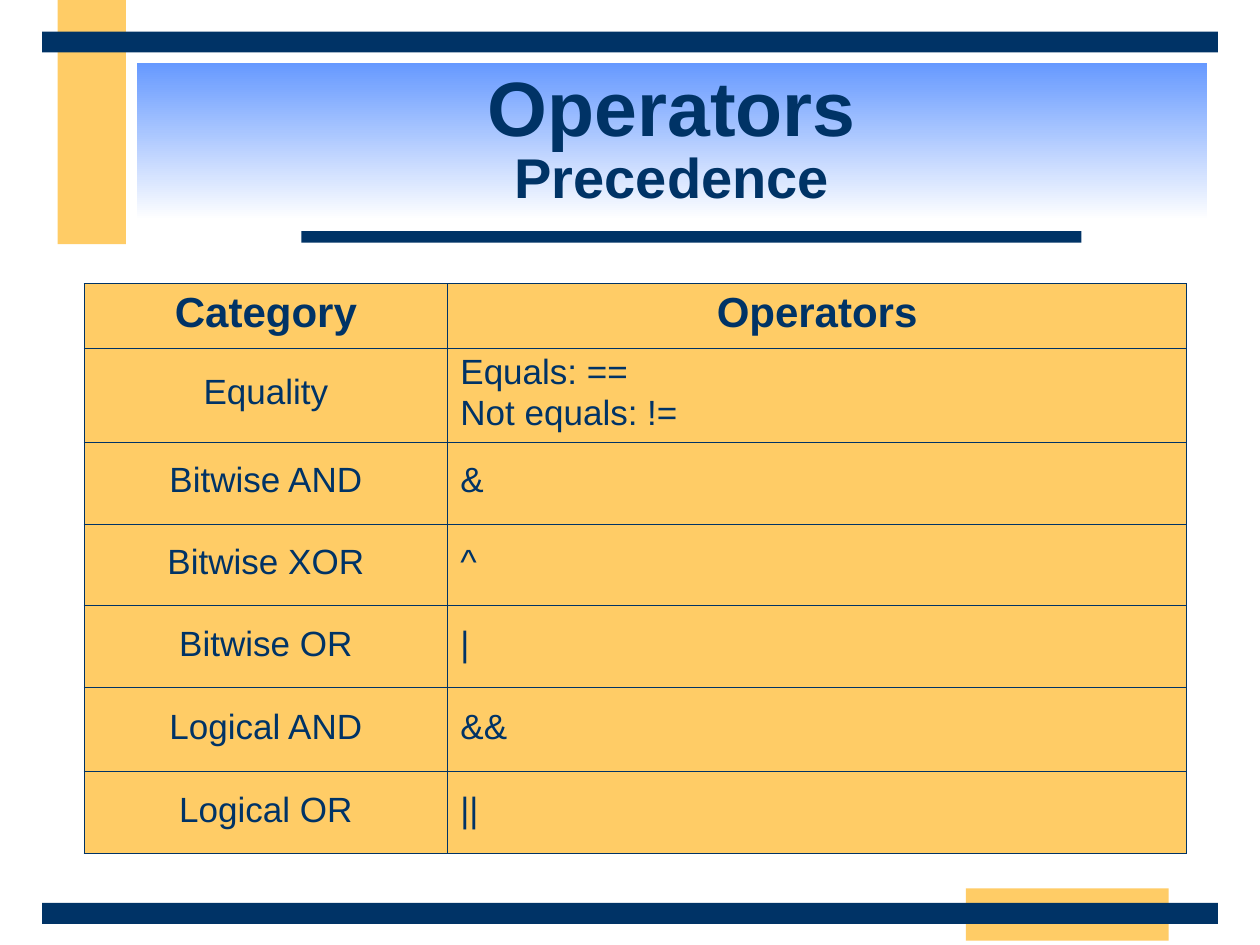
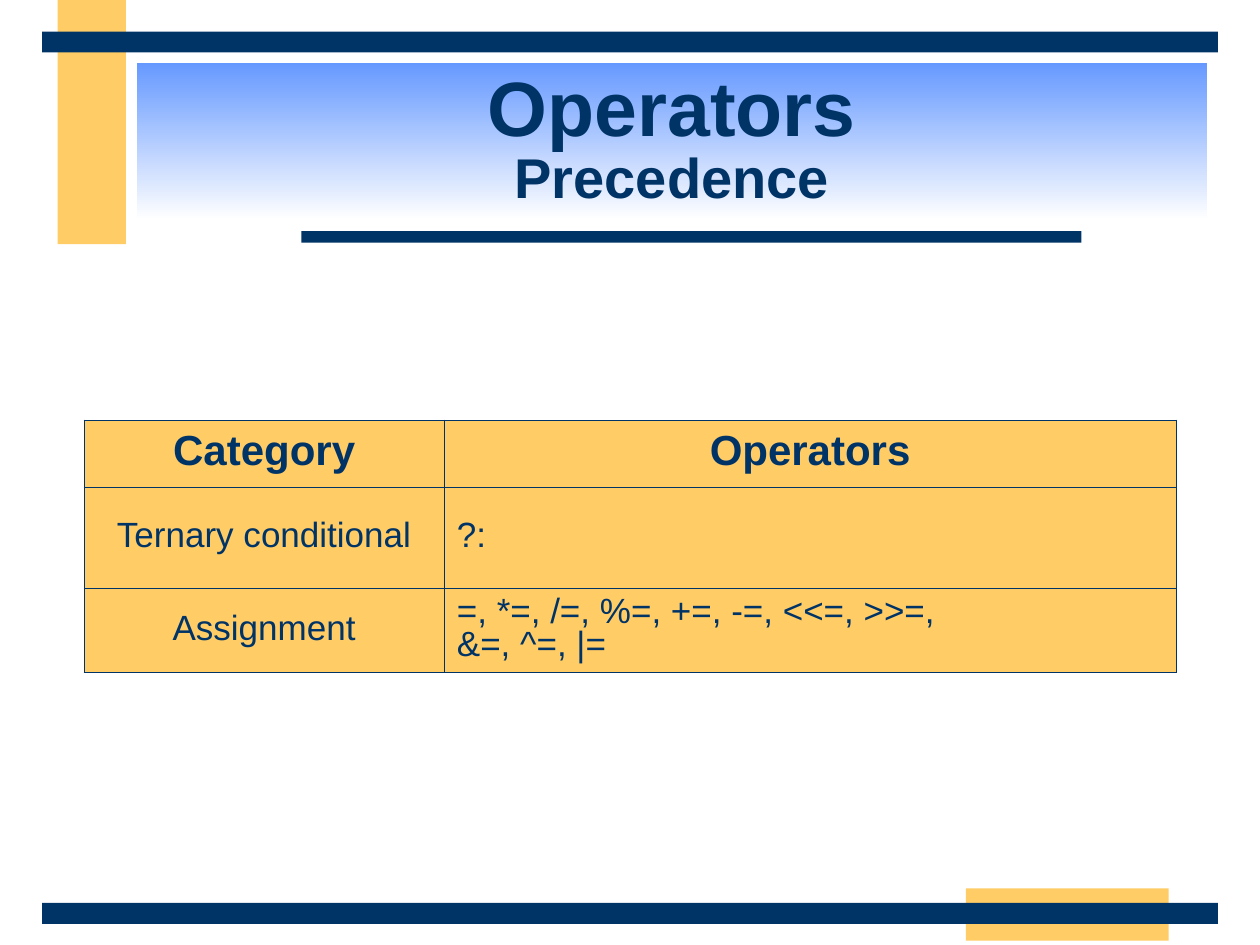
from lxml import etree
from pptx import Presentation
from pptx import util as u
from pptx.dml.color import RGBColor
from pptx.enum import shapes, text
from pptx.oxml import ns

TITLE = [("Operators", "title"), ("Precedence", "subtitle")]
HEADER = ("Category", "Operators")
TABLES = [
    {
        "at": (16, 54),
        "width": 210,
        "heights": [12.3, 17.9, 15.6, 15.6, 15.6, 16, 15.6],
        "rows": [
            ("Equality", "Equals: ==\nNot equals: !="),
            ("Bitwise AND", "&"),
            ("Bitwise XOR", "^"),
            ("Bitwise OR", "|"),
            ("Logical AND", "&&"),
            ("Logical OR", "||"),
        ],
    },
    {
        "at": (16, 80),
        "width": 208,
        "heights": [12.8, 19.2, 16.1],
        "rows": [
            ("Ternary conditional", "?:"),
            ("Assignment", "=, *=, /=, %=, +=, -=, <<=, >>=,\v&=, ^=, |="),
        ],
    },
]

COLS, ROWS = 240, 180
COLUMN_SHARES = (0.33, 0.67)
TITLE_BOX = (26, 12, 204, 30)
BANDS = [
    ("gold", (11, 0, 13, 46.5)),
    ("gold", (184, 169.2, 38.6, 10)),
    ("navy", (57.4, 44, 148.6, 2.2)),
    ("navy", (8, 172, 224, 4)),
    ("navy", (8, 6, 224, 4)),
]

THEME = {
    "navy": RGBColor.from_string("003366"),
    "gold": RGBColor.from_string("FFCC66"),
    "sky": RGBColor.from_string("6699FF"),
    "white": RGBColor.from_string("FFFFFF"),
    "font": "Arial",
    "title": 44,
    "subtitle": 32,
    "header": 24,
    "body": 20,
    "border": 0.45,
    "spacing": 0.85,
}

prs = Presentation()
prs.slide_width, prs.slide_height = u.Inches(10), u.Inches(7.5)
CELL_W, CELL_H = prs.slide_width / COLS, prs.slide_height / ROWS


def place(box):
    x, y, w, h = box
    return [int(v) for v in (x * CELL_W, y * CELL_H, w * CELL_W, h * CELL_H)]


def apply(obj, values):
    for name, value in values.items():
        setattr(obj, name, value)


def style_font(font, size, bold):
    apply(font, {"name": THEME["font"], "size": u.Pt(THEME[size]), "bold": bold})
    font.color.rgb = THEME["navy"]


def add_bands(slide, layout):
    for i, (color, box) in enumerate(BANDS):
        sp = slide.shapes.add_shape(shapes.MSO_SHAPE.RECTANGLE, *place(box))
        sp.shadow.inherit = False
        sp.fill.solid()
        sp.fill.fore_color.rgb = THEME[color]
        sp.line.fill.background()
        sp.element.nvSpPr.cNvPr.set("id", str(20 + i))
        layout.shapes.element.insert(2 + i, sp.element)


def add_title(slide):
    sp = slide.shapes.title
    apply(sp, dict(zip(("left", "top", "width", "height"), place(TITLE_BOX))))
    sp.fill.gradient()
    sp.fill.gradient_angle = 270
    for stop, color in zip(sp.fill.gradient_stops, ("sky", "white")):
        stop.color.rgb = THEME[color]
    tf = sp.text_frame
    apply(tf, {"word_wrap": True, "auto_size": text.MSO_AUTO_SIZE.NONE,
               "vertical_anchor": text.MSO_ANCHOR.MIDDLE})
    p = tf.paragraphs[0]
    apply(p, {"alignment": text.PP_ALIGN.CENTER, "line_spacing": THEME["spacing"]})
    for i, (words, size) in enumerate(TITLE):
        if i:
            p.add_line_break()
        r = p.add_run()
        r.text = words
        style_font(r.font, size, True)


def add_borders(cell):
    tc_pr = cell._tc.get_or_add_tcPr()
    for side in ("lnL", "lnR", "lnT", "lnB"):
        ln = etree.SubElement(tc_pr, ns.qn(f"a:{side}"), w=str(u.Pt(THEME["border"])))
        fill = etree.SubElement(ln, ns.qn("a:solidFill"))
        etree.SubElement(fill, ns.qn("a:srgbClr"), val=str(THEME["navy"]))


def fill_cell(cell, words, is_header, centered):
    add_borders(cell)
    cell.fill.solid()
    cell.fill.fore_color.rgb = THEME["gold"]
    cell.vertical_anchor = text.MSO_ANCHOR.MIDDLE
    cell.text_frame.text = words
    align = text.PP_ALIGN.CENTER if centered else text.PP_ALIGN.LEFT
    for i, p in enumerate(cell.text_frame.paragraphs):
        apply(p, {"alignment": align, "line_spacing": THEME["spacing"],
                  "space_before": u.Pt(5 if i else 0)})
        for r in p.runs:
            style_font(r.font, "header" if is_header else "body", is_header)


def add_precedence_table(slide, data):
    rows = [HEADER, *data["rows"]]
    box = (*data["at"], data["width"], sum(data["heights"]))
    table = slide.shapes.add_table(len(rows), len(HEADER), *place(box)).table
    apply(table, {"first_row": False, "horz_banding": False})
    for column, share in zip(table.columns, COLUMN_SHARES):
        column.width = int(data["width"] * share * CELL_W)
    for row, height in zip(table.rows, data["heights"]):
        row.height = int(height * CELL_H)
    for i, row in enumerate(rows):
        for j, words in enumerate(row):
            fill_cell(table.cell(i, j), words, i == 0, i == 0 or j == 0)


def main():
    layout = prs.slide_layouts.get_by_name("Title Only")
    for i, data in enumerate(TABLES):
        slide = prs.slides.add_slide(layout)
        if i == 0:
            add_bands(slide, layout)
        add_title(slide)
        add_precedence_table(slide, data)
    prs.save("out.pptx")


if __name__ == "__main__":
    main()
